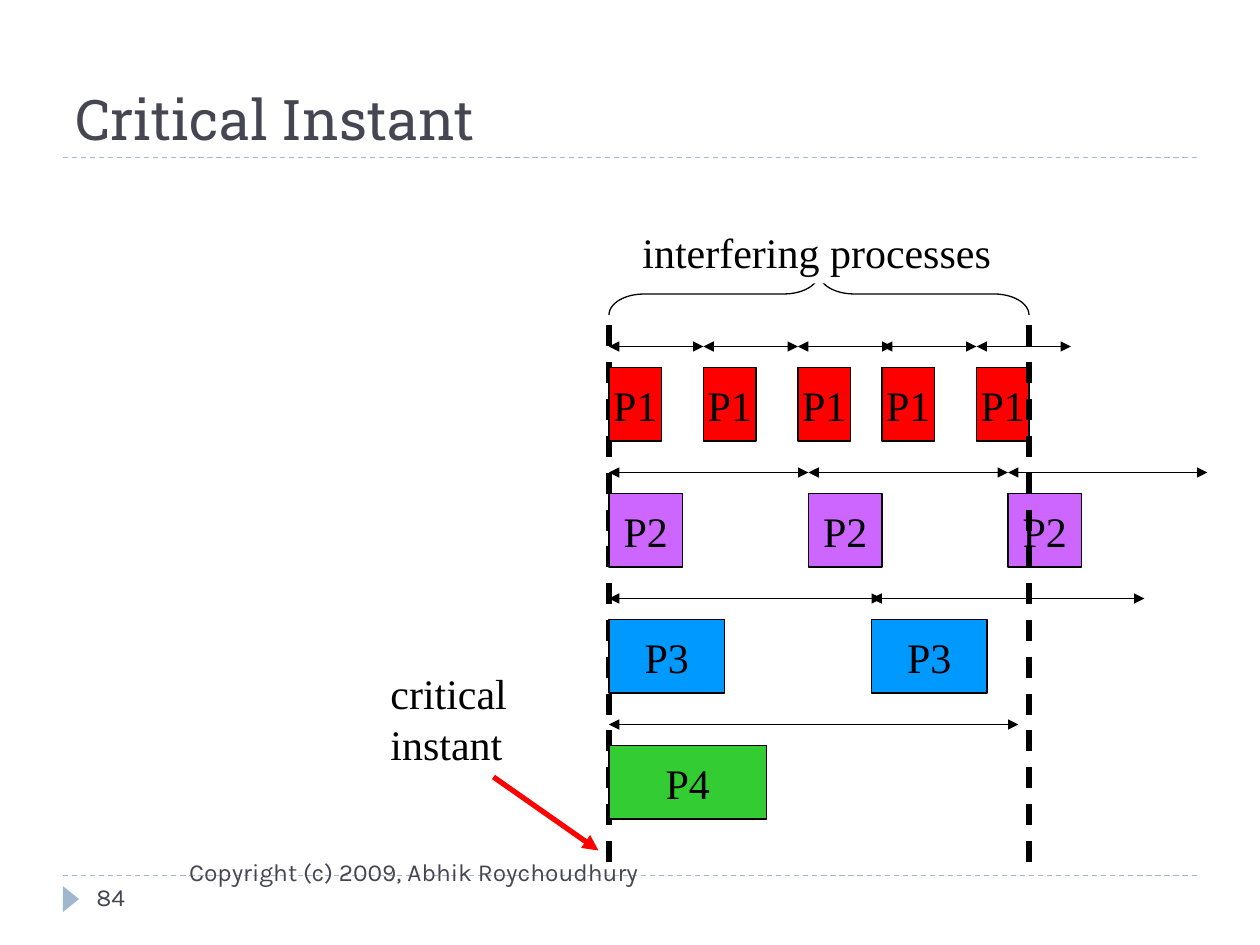
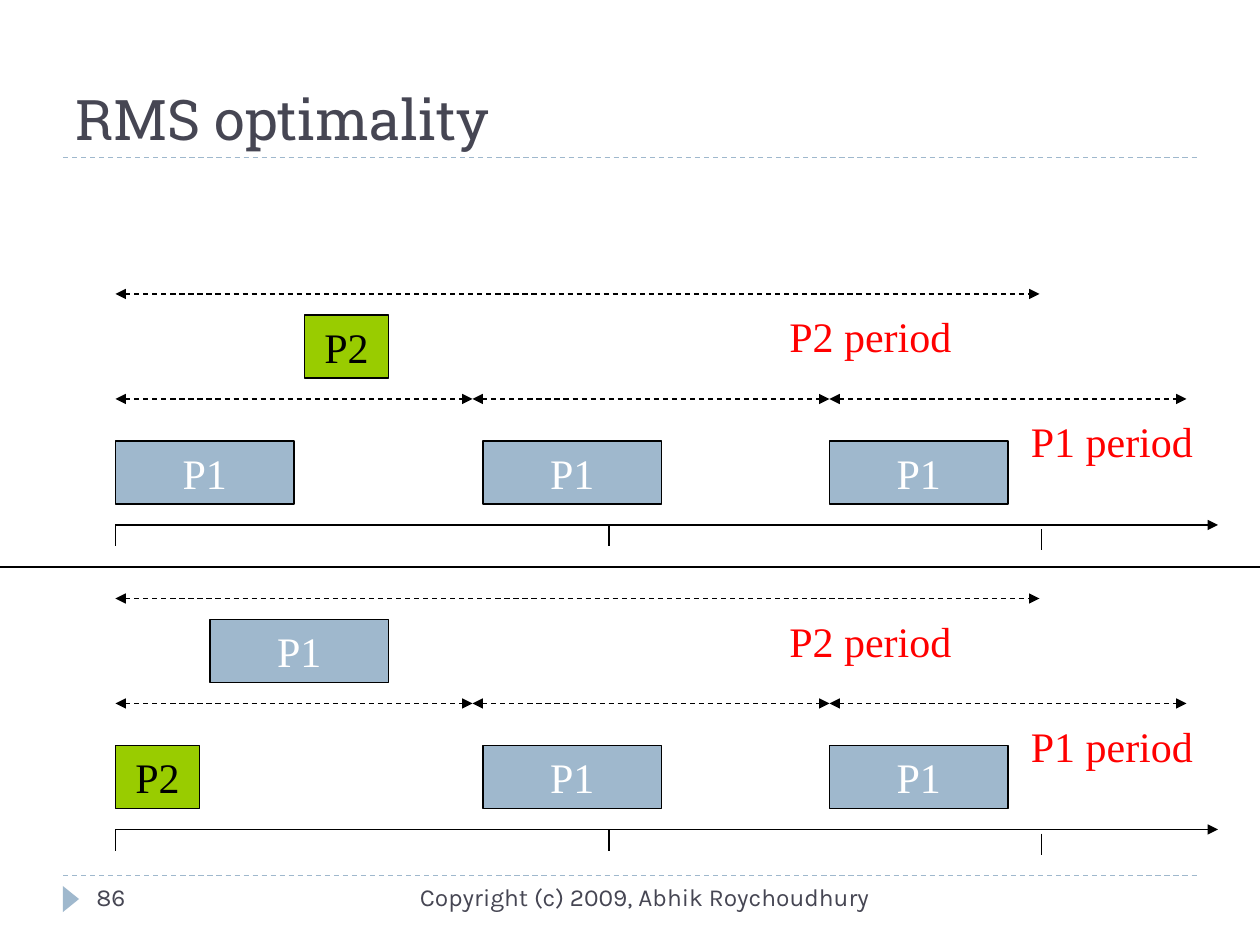
"""Builds two scheduling slides on a grid of 120 by 90 units, twelve units to the inch."""
from lxml import etree
from pptx import Presentation, util as u
from pptx.dml.color import RGBColor
from pptx.enum import dml, shapes, text
from pptx.oxml.ns import qn

UNIT = u.Cm(2.54) / 12
INK, ACCENT, BLACK, WHITE, RED = "464653", "9FB8CD", "000000", "FFFFFF", "FF0000"
LIME = "99CC00"
TITLE_FONT, FOOTER_FONT, DIAGRAM_FONT = "Roboto Slab", "Karla", "Times New Roman"
COPYRIGHT = "Copyright (c) 2009, Abhik Roychoudhury"

INSTANT_X, WINDOW_END_X = 58, 98
FIRST_ROW_Y, ROW_STEP = 33, 12
PROCESSES = [
    ("P1", RED, 5, 9, [58, 67, 76, 84, 93]),
    ("P2", "CC66FF", 7, 19, [58, 77, 96]),
    ("P3", "0099FF", 11, 26, [58, 83]),
    ("P4", "33CC33", 15, 39, [58]),
]

JOBS = {"P1": (17, ACCENT, WHITE), "P2": (8, LIME, BLACK)}
SCHEDULES = [
    (28, [("P2", 29)], [("P1", 11), ("P1", 46), ("P1", 79)]),
    (57, [("P1", 20)], [("P2", 11), ("P1", 46), ("P1", 79)]),
]
TIME_START, TIME_END = 11, 116
P2_PERIOD, P1_PERIOD = 88, 34
TICKS = [(11, 0), (58, 0), (99.2, 0.4)]


def color(value):
    return RGBColor.from_string(value)


def grid(*values):
    return [round(value * UNIT) for value in values]


def write(shape, lines, size, font, ink, align=text.PP_ALIGN.LEFT,
          anchor=text.MSO_ANCHOR.TOP, wrap=True):
    frame = shape.text_frame
    frame.word_wrap = wrap
    frame.vertical_anchor = anchor
    frame.text = "\n".join(lines)
    for paragraph in frame.paragraphs:
        paragraph.alignment = align
        paragraph.font.size = u.Pt(size)
        paragraph.font.name = font
        paragraph.font.color.rgb = color(ink)


def add_text(slide, at, lines, size, font, ink, **options):
    box = slide.shapes.add_textbox(*grid(*at))
    write(box, lines, size, font, ink, **options)
    return box


def add_label(slide, at, lines, ink=BLACK):
    label = add_text(slide, at, lines, 24, DIAGRAM_FONT, ink, wrap=False)
    label.text_frame.auto_size = text.MSO_AUTO_SIZE.SHAPE_TO_FIT_TEXT
    return label


def add_preset(slide, kind, at, fill=None, line=None):
    shape = slide.shapes.add_shape(kind, *grid(*at))
    shape.shadow.inherit = False
    if fill:
        shape.fill.solid()
        shape.fill.fore_color.rgb = color(fill)
    else:
        shape.fill.background()
    if line:
        shape.line.color.rgb = color(line)
        shape.line.width = u.Pt(0.75)
    else:
        shape.line.fill.background()
    return shape


def add_job(slide, at, name, fill, ink=BLACK):
    job = add_preset(slide, shapes.MSO_SHAPE.RECTANGLE, at, fill, BLACK)
    write(job, [name], 24, DIAGRAM_FONT, ink, text.PP_ALIGN.CENTER,
          text.MSO_ANCHOR.MIDDLE, wrap=False)


def add_line(slide, ends, ink=BLACK, width=0.75, dashed=False, arrows=()):
    connector = slide.shapes.add_connector(shapes.MSO_CONNECTOR.STRAIGHT, *grid(*ends))
    connector.line.color.rgb = color(ink)
    connector.line.width = u.Pt(width)
    if dashed:
        connector.line.dash_style = dml.MSO_LINE.DASH
    outline = connector.line._get_or_add_ln()
    for end in arrows:
        etree.SubElement(outline, qn(f"a:{end}"), type="triangle")
    etree.SubElement(connector._element.spPr, qn("a:effectLst"))


def add_span(slide, left, length, y, dashed=False):
    add_line(slide, (left, y, left + length, y), dashed=dashed, arrows=("headEnd", "tailEnd"))


def add_base(presentation, title, number, copyright_at):
    slide = presentation.slides.add_slide(presentation.slide_layouts[6])
    for y in (83.4, 15):
        add_line(slide, (6, y, 114, y), ACCENT, dashed=True)
    marker = add_preset(slide, shapes.MSO_SHAPE.ISOSCELES_TRIANGLE,
                        (5.5, 84.85, 2.5, 1.55), ACCENT)
    marker.rotation = 90
    add_text(slide, (6, 2, 108, 13), [title], 32, TITLE_FONT, INK,
             anchor=text.MSO_ANCHOR.BOTTOM)
    add_text(slide, copyright_at, [COPYRIGHT], 14, FOOTER_FONT, INK,
             align=text.PP_ALIGN.RIGHT)
    add_text(slide, (8, 83.4, 26, 4.8), [number], 14, FOOTER_FONT, INK)
    return slide


def add_critical_instant(presentation):
    slide = add_base(presentation, "Critical Instant", "84", (10, 81, 52, 6))
    add_line(slide, (INSTANT_X, 31, INSTANT_X, 83), width=3, dashed=True)
    for row, (name, fill, width, period, starts) in enumerate(PROCESSES):
        y = FIRST_ROW_Y + row * ROW_STEP
        for start in starts:
            add_span(slide, start, period, y)
            add_job(slide, (start, y + 2, width, 7), name, fill)
    add_line(slide, (47, 74, 57, 81), RED, 3, arrows=("tailEnd",))
    add_label(slide, (36, 63, 13.6, 10.8), ["critical", "instant"])
    add_line(slide, (WINDOW_END_X, 31, WINDOW_END_X, 83), width=3, dashed=True)
    brace = add_preset(slide, shapes.MSO_SHAPE.LEFT_BRACE, (76, 8, 4, 40), line=BLACK)
    brace.adjustments[0] = 0.83
    brace.rotation = 90
    label = add_label(slide, (60, 21, 35.6, 6), ["interfering processes"])
    label.fill.solid()
    label.fill.fore_color.rgb = color(WHITE)


def add_rms_optimality(presentation):
    slide = add_base(presentation, "RMS optimality", "86", (38, 83.4, 46, 4.8))
    for top, upper_jobs, lower_jobs in SCHEDULES:
        axis_y = top + 22
        add_line(slide, (TIME_START, axis_y, TIME_END, axis_y), arrows=("tailEnd",))
        for x, drop in TICKS:
            add_line(slide, (x, axis_y + drop, x, axis_y + drop + 2))
        add_span(slide, TIME_START, P2_PERIOD, top, dashed=True)
        for index in range(3):
            add_span(slide, TIME_START + index * P1_PERIOD, P1_PERIOD, top + 10, dashed=True)
        add_label(slide, (74, top + 1, 17.8, 6), ["P2 period"], RED)
        add_label(slide, (97, top + 11, 17.8, 6), ["P1 period"], RED)
        for y, jobs in ((top + 2, upper_jobs), (top + 14, lower_jobs)):
            for name, start in jobs:
                width, fill, ink = JOBS[name]
                add_job(slide, (start, y, width, 6), name, fill, ink)
    add_line(slide, (0, 54, 120, 54))


def main():
    presentation = Presentation()
    presentation.slide_width, presentation.slide_height = u.Cm(25.4), u.Cm(19.05)
    add_critical_instant(presentation)
    add_rms_optimality(presentation)
    presentation.save("out.pptx")


if __name__ == "__main__":
    main()
